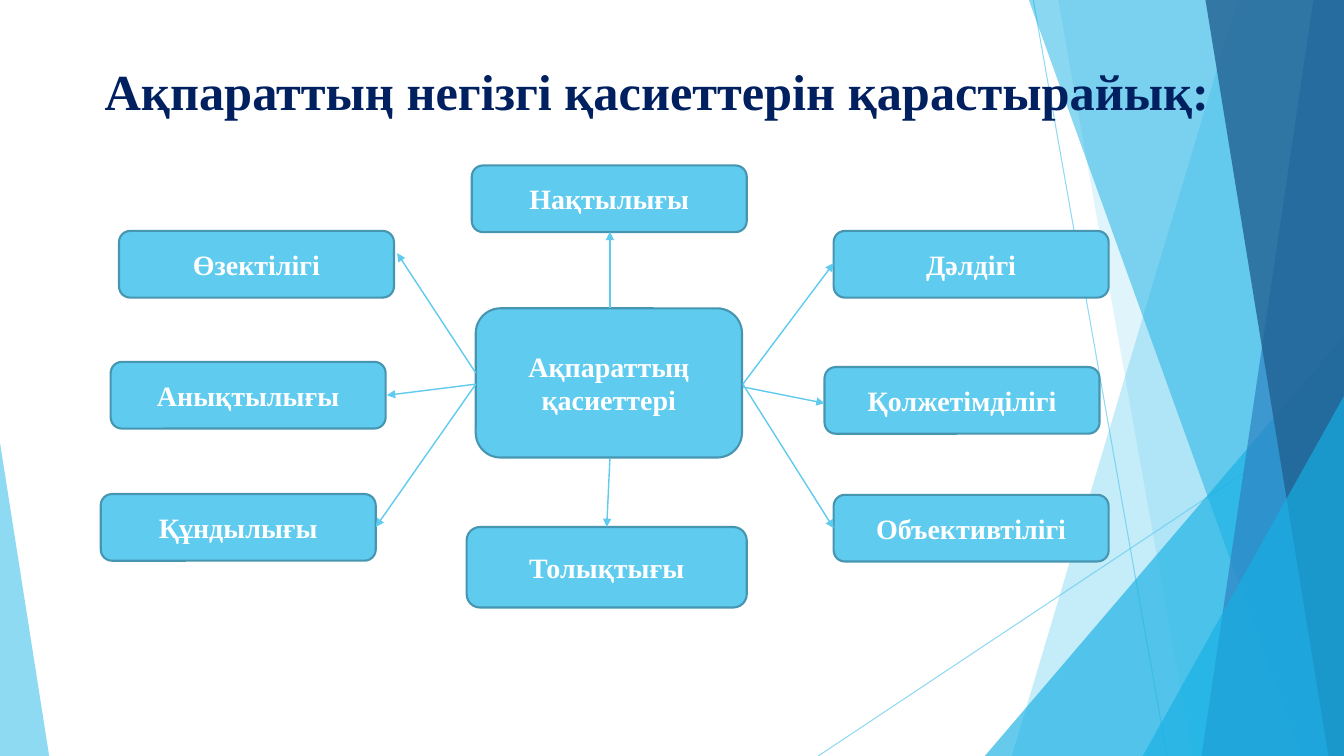
from dataclasses import dataclass

from pptx import Presentation
from pptx.dml.color import RGBColor
from pptx.enum.shapes import MSO_CONNECTOR as Wire, MSO_SHAPE as Form
from pptx.enum.text import MSO_ANCHOR as Anchor, PP_ALIGN as Align
from pptx.oxml.ns import qn
from pptx.oxml.xmlchemy import OxmlElement as Node
from pptx.shapes.autoshape import Shape
from pptx.shapes.connector import Connector
from pptx.util import Cm, Pt

WIDE, HIGH = 33.87, 19.05
FONT = "Times New Roman"
SKY, AQUA, BLUE, DEEP = "5FCBEF", "17B0E4", "2E83C3", "226292"
EDGE, NAVY, WHITE = "4696B1", "002060", "FFFFFF"


@dataclass
class Band:
    top: float
    foot: float
    color: str
    alpha: int


@dataclass
class Peak:
    left: float
    top: float
    width: float
    tip: float
    color: str
    alpha: int


@dataclass
class Card:
    text: str
    left: float
    top: float
    width: float = 6.93
    height: float = 1.68


@dataclass
class Link:
    x1: float
    y1: float
    x2: float
    y2: float


DECOR = [
    Band(31.19, 25.5, SKY, 36),
    Band(26.67, 30.05, SKY, 20),
    Peak(24.82, 8.46, 9.05, 1, AQUA, 66),
    Band(25.93, 32.79, AQUA, 50),
    Band(33.1, 30.28, BLUE, 70),
    Band(30.38, 33.48, DEEP, 80),
    Peak(28.8, 9.98, 5.07, 1, AQUA, 66),
    Peak(0, 11.15, 1.24, 0, SKY, 70),
]
RAYS = [Link(26.04, 0, 29.41, HIGH), Link(WIDE, 10.24, 20.62, HIGH)]
CARDS = [
    Card("Ақпараттың қасиеттері", 11.99, 7.77, 6.71, 3.76),
    Card("Нақтылығы", 11.89, 4.17),
    Card("Өзектілігі", 3, 5.82),
    Card("Анықтылығы", 2.79, 9.12),
    Card("Құндылығы", 2.54, 12.45),
    Card("Толықтығы", 11.76, 13.28, 7.06, 2.03),
    Card("Дәлдігі", 21.01, 5.82),
    Card("Қолжетімділігі", 20.78, 9.25),
    Card("Объективтілігі", 21.01, 12.47),
]
LINKS = [
    Link(15.37, 7.77, 15.37, 5.84),
    Link(15.37, 11.56, 15.29, 13.28),
    Link(18.72, 9.68, 21.01, 6.63),
    Link(11.99, 9.4, 10.01, 6.38),
    Link(18.72, 9.75, 20.78, 10.16),
    Link(11.99, 9.68, 9.75, 9.96),
    Link(18.72, 9.68, 21.01, 13.31),
    Link(11.99, 9.68, 9.47, 13.28),
]


def paint(color: str) -> RGBColor:
    return RGBColor.from_string(color)


def fade(shape: Shape | Connector, alpha: int) -> None:
    tint = next(shape._element.spPr.iter(qn("a:srgbClr")))
    node = Node("a:alpha")
    node.set("val", str(alpha * 1000))
    tint.append(node)


def flat(shape: Shape, color: str) -> None:
    shape.shadow.inherit = False
    shape.fill.solid()
    shape.fill.fore_color.rgb = paint(color)


def write(shape: Shape, text: str, size: int, color: str) -> None:
    frame = shape.text_frame
    frame.word_wrap = True
    para = frame.paragraphs[0]
    para.text = text
    para.alignment = Align.CENTER
    font = para.font
    font.name, font.size, font.bold = FONT, Pt(size), True
    font.color.rgb = paint(color)


def draw_link(shapes, link: Link, weight: float) -> Connector:
    line = shapes.add_connector(
        Wire.STRAIGHT, Cm(link.x1), Cm(link.y1), Cm(link.x2), Cm(link.y2))
    line.line.color.rgb = paint(SKY)
    line.line.width = Pt(weight)
    line._element.spPr.append(Node("a:effectLst"))
    return line


def draw_arrow(shapes, link: Link) -> None:
    line = draw_link(shapes, link, 1)
    head = Node("a:tailEnd")
    head.set("type", "triangle")
    line.line._get_or_add_ln().append(head)


def draw_band(shapes, band: Band) -> Shape:
    pen = shapes.build_freeform(Cm(band.top), 0)
    pen.add_line_segments(
        [(Cm(WIDE), 0), (Cm(WIDE), Cm(HIGH)), (Cm(band.foot), Cm(HIGH))])
    return pen.convert_to_shape()


def draw_peak(shapes, peak: Peak) -> Shape:
    shape = shapes.add_shape(
        Form.ISOSCELES_TRIANGLE, Cm(peak.left), Cm(peak.top),
        Cm(peak.width), Cm(HIGH - peak.top))
    shape.adjustments[0] = peak.tip
    return shape


def draw_decor(shapes, part: Band | Peak) -> None:
    draw = draw_band if isinstance(part, Band) else draw_peak
    shape = draw(shapes, part)
    flat(shape, part.color)
    fade(shape, part.alpha)
    shape.line.fill.background()


def draw_card(shapes, card: Card) -> None:
    shape = shapes.add_shape(
        Form.ROUNDED_RECTANGLE, Cm(card.left), Cm(card.top),
        Cm(card.width), Cm(card.height))
    flat(shape, SKY)
    shape.line.color.rgb = paint(EDGE)
    shape.line.width = Pt(1.5)
    shape.text_frame.vertical_anchor = Anchor.MIDDLE
    write(shape, card.text, 20, WHITE)


def main() -> None:
    deck = Presentation()
    deck.slide_width, deck.slide_height = Cm(WIDE), Cm(HIGH)
    shapes = deck.slides.add_slide(deck.slide_layouts[6]).shapes
    for ray in RAYS:
        fade(draw_link(shapes, ray, 0.75), 70)
    for part in DECOR:
        draw_decor(shapes, part)
    title = shapes.add_textbox(Cm(1.88), Cm(1.4), Cm(29.36), Cm(15.4))
    write(title, "Ақпараттың негізгі қасиеттерін қарастырайық:", 36, NAVY)
    for card in CARDS:
        draw_card(shapes, card)
    for link in LINKS:
        draw_arrow(shapes, link)
    deck.save("out.pptx")


if __name__ == "__main__":
    main()
